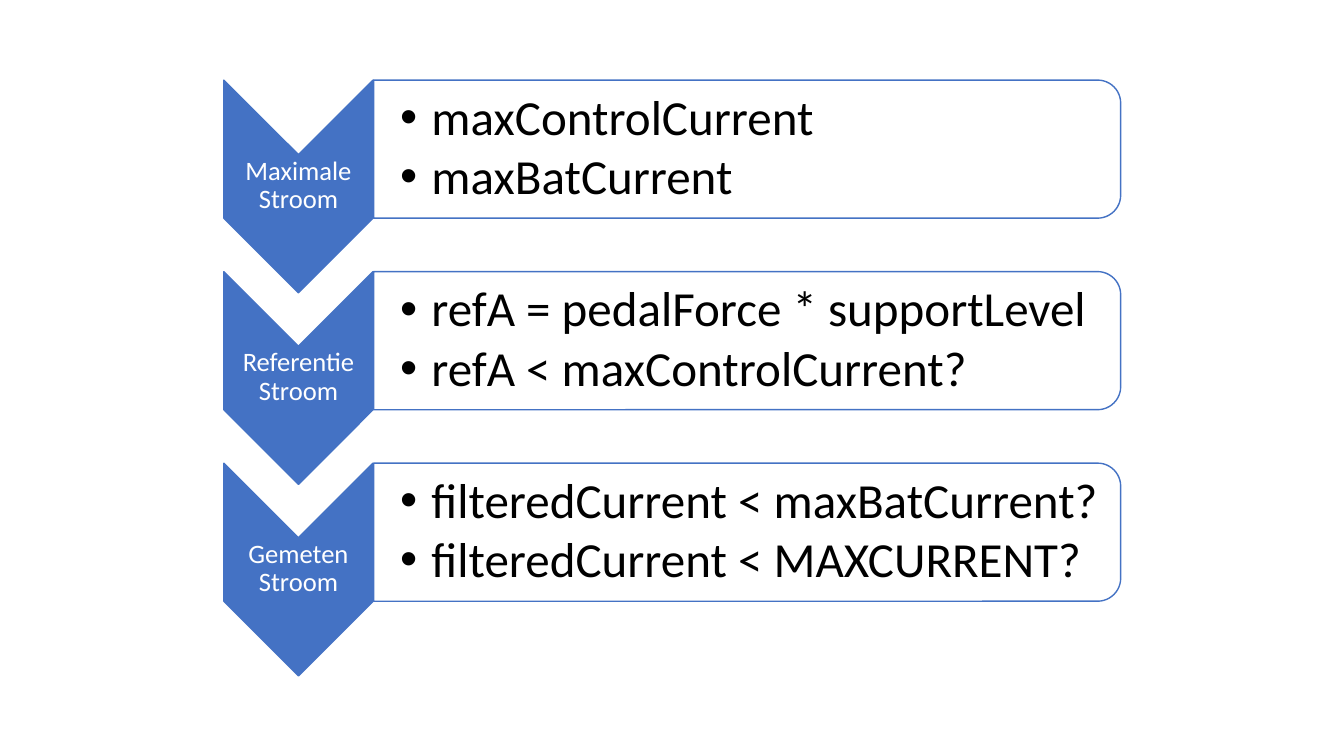
from pptx import Presentation
from pptx.dml.color import RGBColor
from pptx.enum.shapes import MSO_SHAPE as SHAPE
from pptx.enum.text import MSO_ANCHOR as ANCHOR, PP_ALIGN as ALIGN
from pptx.oxml.ns import qn
from pptx.util import Inches, Pt
from lxml import etree

# Content
STEPS = [
    ("Maximale Stroom", ["maxControlCurrent", "maxBatCurrent"]),
    ("Referentie Stroom", ["refA = pedalForce * supportLevel", "refA < maxControlCurrent?"]),
    ("Gemeten Stroom", ["filteredCurrent < maxBatCurrent?", "filteredCurrent < MAXCURRENT?"]),
]
BLUE, WHITE, BLACK = "4472C4", "FFFFFF", "000000"

# Layout in inches
ROW_STEP = 1.9
CHEVRON_CENTER, CHEVRON_SIZE = (2.96, 1.85), (2.11, 1.48)
PANEL_CENTER, PANEL_SIZE = (7.41, 1.48), (1.37, 7.41)
LABEL_BOX = (2.22, 1.53, 1.48, 0.63)
BULLET_BOX = (3.7, 0.86, 7.34, 1.24)


def rgb(color):
    return RGBColor.from_string(color)


def add_turned(kind, center, size, fill, alpha=None):
    """Add a shape turned a quarter clockwise about its centre."""
    (cx, cy), (w, h) = center, size
    sp = s.shapes.add_shape(kind, Inches(cx - w / 2), Inches(cy - h / 2), Inches(w), Inches(h))
    sp.rotation = 90
    sp.shadow.inherit = False
    sp.fill.solid()
    sp.fill.fore_color.rgb = rgb(fill)
    sp.line.color.rgb = rgb(BLUE)
    sp.line.width = Pt(1)
    if alpha:
        clr = sp._element.spPr.find(qn("a:solidFill")).find(qn("a:srgbClr"))
        etree.SubElement(clr, qn("a:alpha"), val=str(alpha * 1000))


def add_text(lines, box, size, color, align=ALIGN.LEFT, inset=0.01, left=0.01, after=0, indent=None):
    tf = s.shapes.add_textbox(*map(Inches, box)).text_frame
    tf.word_wrap = True
    tf.vertical_anchor = ANCHOR.MIDDLE
    tf.margin_left = Inches(left)
    tf.margin_top = tf.margin_right = tf.margin_bottom = Inches(inset)
    for i, line in enumerate(lines):
        p = tf.paragraphs[0] if i == 0 else tf.add_paragraph()
        p.alignment, p.line_spacing, p.space_after = align, 0.9, Pt(after)
        if indent:
            p.level = 1
            pPr = p._p.get_or_add_pPr()
            pPr.set("marL", str(Inches(indent)))
            pPr.set("indent", str(-Inches(indent)))
            etree.SubElement(pPr, qn("a:buFont"), typeface="Arial")
            etree.SubElement(pPr, qn("a:buChar"), char="•")
        r = p.add_run()
        r.text = line
        r.font.name, r.font.size = "Calibri", Pt(size)
        r.font.color.rgb = rgb(color)


prs = Presentation()
prs.slide_width, prs.slide_height = Inches(13.33), Inches(7.5)
s = prs.slides.add_slide(prs.slide_layouts[6])

# One row per step: chevron with label, panel with bullets
for row, (label, bullets) in enumerate(STEPS):
    def lower(place):
        x, y, *rest = place
        return (x, y + row * ROW_STEP, *rest)

    add_turned(SHAPE.CHEVRON, lower(CHEVRON_CENTER), CHEVRON_SIZE, BLUE)
    add_text([label], lower(LABEL_BOX), 19, WHITE, align=ALIGN.CENTER)
    add_turned(SHAPE.ROUND_2_SAME_RECTANGLE, lower(PANEL_CENTER), PANEL_SIZE, WHITE, alpha=90)
    add_text(bullets, lower(BULLET_BOX), 35, BLACK, inset=0.02, left=0.27, after=4.5, indent=0.31)

prs.save("out.pptx")
